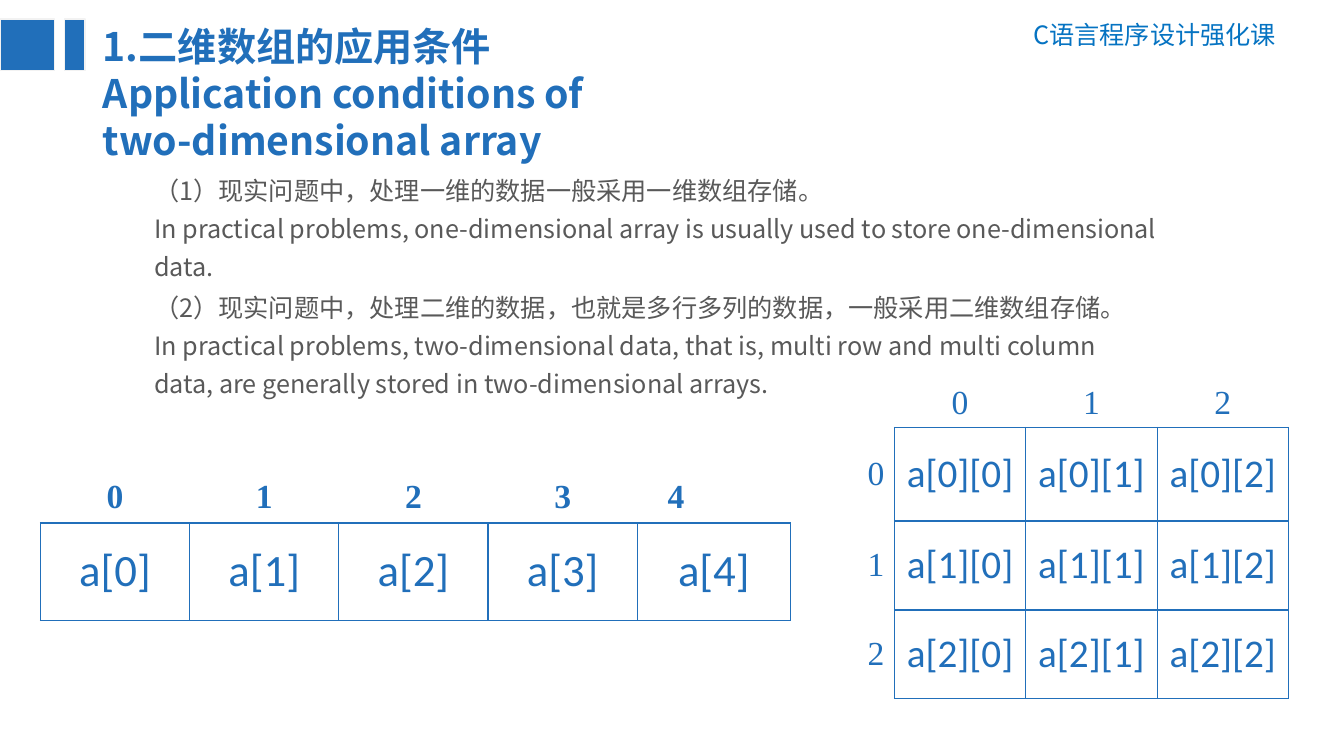
import pptx
import pptx.util
import pptx.dml.color
import pptx.enum.shapes
import pptx.enum.text
import pptx.oxml.ns
import lxml.etree
from dataclasses import dataclass

Cm = pptx.util.Cm
Pt = pptx.util.Pt
Color = pptx.dml.color.RGBColor.from_string
Align = pptx.enum.text.PP_ALIGN
Anchor = pptx.enum.text.MSO_ANCHOR
qn = pptx.oxml.ns.qn


@dataclass(frozen=True)
class Theme:
    blue: str = "216FBA"
    course: str = "0573C2"
    gray: str = "595959"
    edge: str = "F2F2F2"
    hans: str = "Noto Sans CJK SC"
    serif: str = "Times New Roman"
    sans: str = "Calibri"
    small: int = 18
    label: int = 24
    head: int = 28
    large: int = 32


def apply(target, values):
    for name, value in values.items():
        setattr(target, name, value)


class Deck:
    def __init__(self, theme):
        self.theme = theme
        self.file = pptx.Presentation()
        apply(self.file, {"slide_width": Cm(33.87), "slide_height": Cm(19.05)})
        self.slide = self.file.slides.add_slide(self.file.slide_layouts[3])

    def text(self, frame, lines, size, face, color, bold=False, **format):
        for index, line in enumerate(lines):
            para = frame.paragraphs[0] if index == 0 else frame.add_paragraph()
            props = para._p.get_or_add_pPr()
            for name in ("marL", "indent"):
                props.set(name, "0")
            lxml.etree.SubElement(props, qn("a:buNone"))
            apply(para, {"space_before": Pt(0), **format})
            run = para.add_run()
            run.text = line
            apply(run.font, {"size": Pt(size), "name": face, "bold": bold})
            run.font.color.rgb = Color(color)
            if face == self.theme.hans:
                east = lxml.etree.SubElement(run._r.get_or_add_rPr(), qn("a:ea"))
                east.set("typeface", face)

    def place(self, shape, box, lines, size, color, **format):
        apply(shape, dict(zip(("left", "top", "width", "height"), map(Cm, box))))
        frame = shape.text_frame
        apply(frame, {"word_wrap": True, "vertical_anchor": Anchor.TOP,
                      "auto_size": pptx.enum.text.MSO_AUTO_SIZE.NONE})
        self.text(frame, lines, size, self.theme.hans, color, **format)

    def title(self, box, lines):
        self.place(self.slide.shapes.title, box, lines, self.theme.head,
                   self.theme.blue, bold=True, alignment=Align.LEFT)

    def body(self, index, box, lines):
        self.place(self.slide.placeholders[index], box, lines, self.theme.small,
                   self.theme.gray, line_spacing=1.25)

    def course(self, box, line):
        shape = self.slide.shapes.add_textbox(*map(Cm, box))
        self.place(shape, box, [line], self.theme.small, self.theme.course,
                   alignment=Align.RIGHT)

    def block(self, box):
        shape = self.slide.shapes.add_shape(
            pptx.enum.shapes.MSO_SHAPE.RECTANGLE, *map(Cm, box))
        shape.shadow.inherit = False
        shape.fill.solid()
        shape.fill.fore_color.rgb = Color(self.theme.blue)
        shape.line.color.rgb = Color(self.theme.edge)
        shape.line.width = Pt(1)

    def border(self, cell, sides):
        props = cell._tc.get_or_add_tcPr()
        for side in "LRTB":
            line = lxml.etree.SubElement(props, qn("a:ln" + side), w=str(Pt(1)))
            if side in sides:
                fill = lxml.etree.SubElement(line, qn("a:solidFill"))
                lxml.etree.SubElement(fill, qn("a:srgbClr"), val=self.theme.blue)
            else:
                lxml.etree.SubElement(line, qn("a:noFill"))
        cell.fill.background()

    def grid(self, left, top, cols, rows, texts, size, side=0):
        theme = self.theme
        table = self.slide.shapes.add_table(
            len(rows), len(cols), Cm(left), Cm(top),
            Cm(sum(cols)), Cm(sum(rows))).table
        apply(table, {"first_row": False, "horz_banding": False})
        for col, width in zip(table.columns, cols):
            col.width = Cm(width)
        for row, height in zip(table.rows, rows):
            row.height = Cm(height)
        for r, line in enumerate(texts):
            for c, text in enumerate(line):
                cell = table.cell(r, c)
                cell.vertical_anchor = Anchor.MIDDLE
                inner = r > 0 and c >= side
                if inner:
                    sides = "LRTB"
                elif c >= side:
                    sides = "B"
                else:
                    sides = "R" if r > 0 else ""
                self.border(cell, sides)
                if inner:
                    self.text(cell.text_frame, [text], size, theme.sans,
                              theme.blue, alignment=Align.CENTER, line_spacing=0.9)
                elif text:
                    self.text(cell.text_frame, [text], theme.label, theme.serif,
                              theme.blue, bold=side == 0,
                              alignment=Align.CENTER if c >= side else Align.RIGHT)
        return table


def main():
    theme = Theme()
    deck = Deck(theme)
    deck.course((24.79, 0.36, 7.62, 1.02), "C语言程序设计强化课")
    deck.title((2.34, 0.43, 14.15, 3.84), [
        "1.二维数组的应用条件",
        "Application conditions of two-dimensional array"])
    for left, width in ((0, 1.37), (1.63, 0.51)):
        deck.block((left, 0.48, width, 1.3))

    points = [
        ["（1）现实问题中，处理一维的数据一般采用一维数组存储。",
         "In practical problems, one-dimensional array is usually used to store "
         "one-dimensional data."],
        ["（2）现实问题中，处理二维的数据，也就是多行多列的数据，一般采用二维数组存储。",
         "In practical problems, two-dimensional data, that is, multi row and multi "
         "column data, are generally stored in two-dimensional arrays."]]
    for index, lines in enumerate(points):
        deck.body(index + 1, (3.63, 4.11 + 2.95 * index, 25.81, 3.05), lines)

    row = [[str(i) for i in range(5)], [f"a[{i}]" for i in range(5)]]
    table = deck.grid(1.02, 11.86, [3.76] * 4 + [3.86], [1.32, 2.46], row, theme.large)
    table.cell(0, 4).margin_right = Cm(2.16)

    plane = [[""] + [str(j) for j in range(3)]]
    plane += [[str(i)] + [f"a[{i}][{j}]" for j in range(3)] for i in range(3)]
    deck.grid(19.23, 9.53, [3.31] * 4, [1.24, 2.36, 2.24, 2.24], plane,
              theme.head, side=1)
    deck.file.save("out.pptx")


if __name__ == "__main__":
    main()
